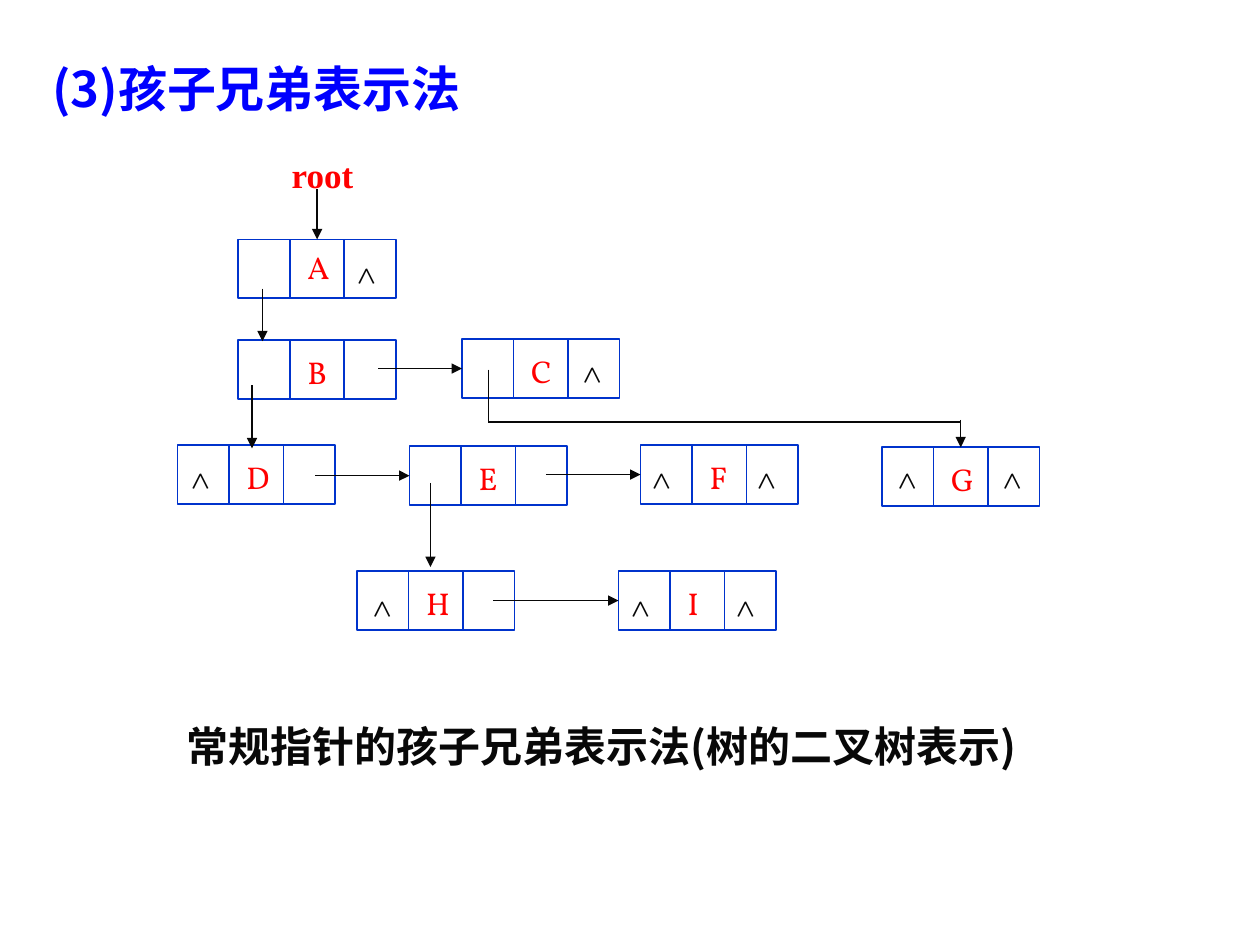
import dataclasses
import typing

import pptx
import pptx.dml.color
import pptx.enum.shapes
import pptx.enum.text
import pptx.oxml
import pptx.oxml.ns
import pptx.util

COLS, ROWS = 120, 90
WIDE, HIGH = 15, 5.6
CUTS = (4.9, 10.1)
BLUE, RED, INK, EDGE = "0000FF", "FF0000", "080808", "0033CC"
SANS, SERIF, TIMES = "Noto Sans CJK SC", "Vollkorn", "Times New Roman"


@dataclasses.dataclass
class Node:
    name: str
    col: float
    row: float
    width: float
    nulls: str = ""
    shift: float = 0
    sink: float = 0.6
    drop: float = 0.6


@dataclasses.dataclass
class Link:
    col: float
    row: float
    goal: str
    site: int


@dataclasses.dataclass
class Line:
    x1: float
    y1: float
    x2: float
    y2: float
    arrow: bool = False


NODES = [
    Node("A", 22.7, 22.8, 4.4, "R", 0.2, 0.7, 0.2),
    Node("B", 22.7, 32.4, 4.3),
    Node("C", 44, 32.3, 4.2, "R", 0.4),
    Node("D", 16.9, 42.4, 4.6, "L", 0.2),
    Node("E", 39, 42.5, 4.2),
    Node("F", 61, 42.4, 4.2, "LR"),
    Node("G", 84, 42.6, 4.6, "LR", 0.4, 0.4),
    Node("H", 34, 54.4, 4.8, "L", 0.4, 0.8),
    Node("I", 58.9, 54.4, 3.5, "LR", 0.1, 0.8),
]
LINKS = [
    Link(30, 18, "A", 0),
    Link(36, 35, "C", 1),
    Link(30, 45, "E", 1),
    Link(52, 45, "F", 1),
    Link(47, 57, "I", 1),
    Link(91.3, 40, "G", 0),
]
LINES = [
    Line(25, 27.5, 25, 32.5, True),
    Line(24, 36.7, 24, 42.7, True),
    Line(41, 46, 41, 54, True),
    Line(46.5, 35.2, 46.5, 40.2),
    Line(46.5, 40.2, 91.5, 40.2),
]

deck = pptx.Presentation()
deck.slide_width = pptx.util.Inches(10)
deck.slide_height = pptx.util.Inches(7.5)
slide = deck.slides.add_slide(deck.slide_layouts[6])
boxes: dict[str, typing.Any] = {}


def across(col: float) -> int:
    return round(deck.slide_width * col / COLS)


def down(row: float) -> int:
    return round(deck.slide_height * row / ROWS)


def paint(code: str) -> pptx.dml.color.RGBColor:
    return pptx.dml.color.RGBColor.from_string(code)


def child(parent: typing.Any, tag: str, **attrs: str) -> None:
    item = pptx.oxml.parse_xml(f"<{tag} {pptx.oxml.ns.nsdecls('a')}/>")
    for key, value in attrs.items():
        item.set(key, value)
    parent.append(item)


def write(text: str, col: float, row: float, width: float, height: float,
          size: float, face: str, color: str, bold: bool = False,
          wrap: bool = False) -> None:
    box = slide.shapes.add_textbox(
        across(col), down(row), across(width), down(height))
    frame = box.text_frame
    frame.text = text
    frame.word_wrap = wrap
    frame.auto_size = pptx.enum.text.MSO_AUTO_SIZE.SHAPE_TO_FIT_TEXT
    for run in frame.paragraphs[0].runs:
        font = run.font
        font.size = pptx.util.Pt(size)
        font.bold = bold
        font.name = face
        font.color.rgb = paint(color)
        child(run._r.get_or_add_rPr(), "a:ea", typeface=face)


def stroke(line: Line, color: str, weight: float) -> typing.Any:
    wire = slide.shapes.add_connector(
        pptx.enum.shapes.MSO_CONNECTOR.STRAIGHT,
        across(line.x1), down(line.y1), across(line.x2), down(line.y2))
    wire.line.color.rgb = paint(color)
    wire.line.width = pptx.util.Pt(weight)
    if line.arrow:
        child(wire.line._get_or_add_ln(), "a:tailEnd", type="triangle")
    child(wire._element.spPr, "a:effectLst")
    return wire


def place(node: Node) -> None:
    box = slide.shapes.add_shape(
        pptx.enum.shapes.MSO_SHAPE.RECTANGLE,
        across(node.col), down(node.row), across(WIDE), down(HIGH))
    box.shadow.inherit = False
    box.fill.background()
    box.line.color.rgb = paint(EDGE)
    box.line.width = pptx.util.Pt(1)
    boxes[node.name] = box
    for cut in CUTS:
        x = node.col + cut
        stroke(Line(x, node.row + 0.1, x, node.row + 5.5), EDGE, 1)
    write(node.name, node.col + 5.4, node.row + node.drop, node.width, 4.8,
          18, SERIF, RED)
    for side in node.nulls:
        start = node.shift + (10 if side == "R" else 0)
        write("∧", node.col + start, node.row + node.sink, 4.6, 4.8,
              18, SERIF, INK)


def join(link: Link) -> None:
    goal = next(node for node in NODES if node.name == link.goal)
    if link.site == 0:
        x = goal.col + WIDE / 2
        line = Line(x, link.row, x, goal.row, True)
    else:
        y = goal.row + HIGH / 2
        line = Line(link.col, y, goal.col, y, True)
    wire = stroke(line, INK, 0.75)
    wire.end_connect(boxes[link.goal], link.site)


def main() -> None:
    write("(3)孩子兄弟表示法", 3.8, 5, 44.5, 6.8, 28, SANS, BLUE, True)
    write("常规指针的孩子兄弟表示法(树的二叉树表示)", 16.6, 68, 84.1, 10.8,
          24, SANS, INK, True, True)
    write("root", 26.6, 14, 10, 5.3, 20, TIMES, RED, True, True)
    for node in NODES:
        place(node)
    for link in LINKS:
        join(link)
    for line in LINES:
        stroke(line, INK, 0.75)
    deck.save("out.pptx")


if __name__ == "__main__":
    main()
